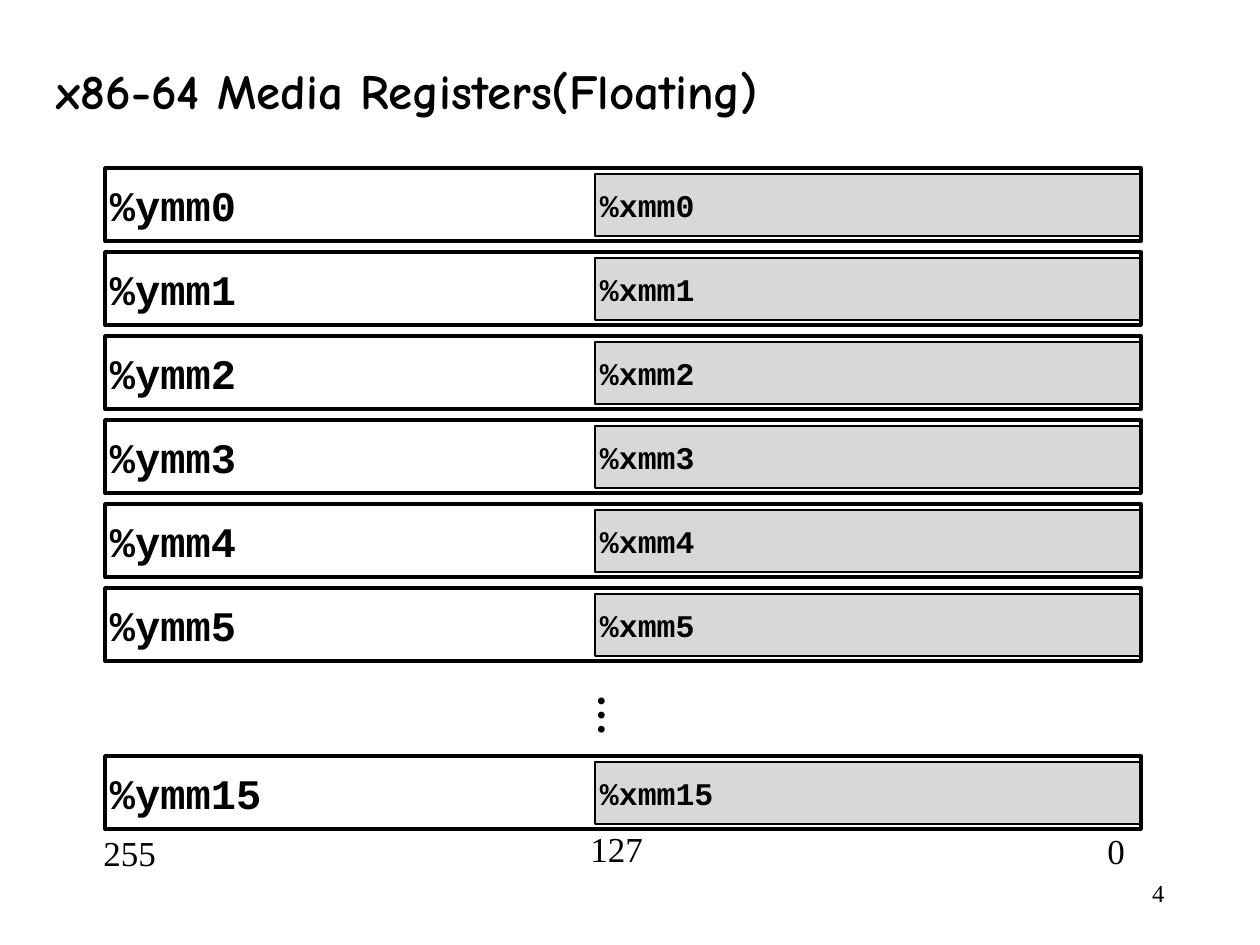
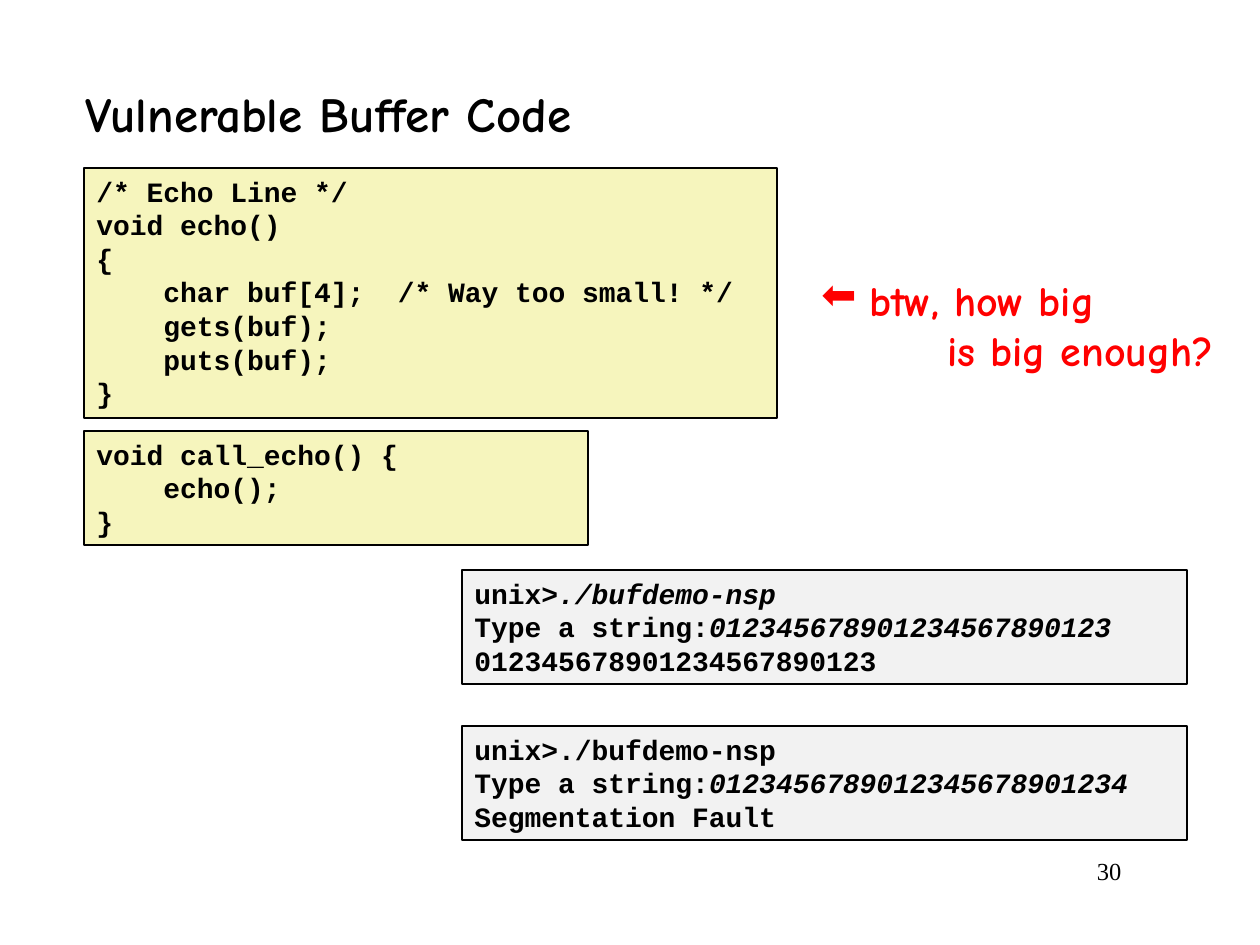
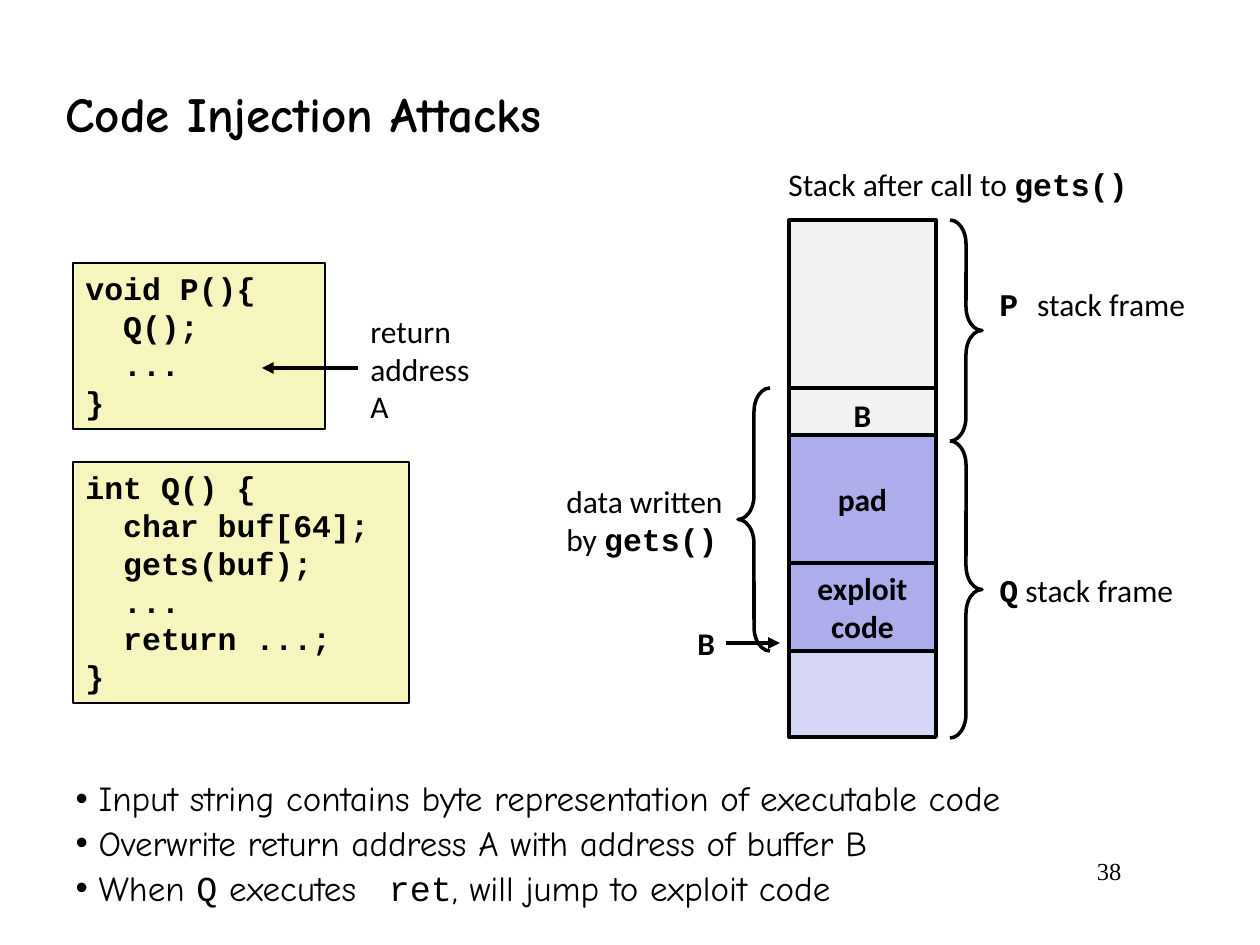
import dataclasses

import pptx
import pptx.dml.color
import pptx.enum.shapes
import pptx.enum.text
import pptx.oxml.ns
import pptx.util
from lxml import etree

SHAPE = pptx.enum.shapes.MSO_SHAPE
ALIGN = pptx.enum.text.PP_ALIGN
ANCHOR = pptx.enum.text.MSO_ANCHOR
qn = pptx.oxml.ns.qn
Pt = pptx.util.Pt

PX_PER_INCH = 126


@dataclasses.dataclass(frozen=True)
class Theme:
    # Fonts
    hand: str = "Comic Neue"
    mono: str = "Courier New"
    sans: str = "Calibri"
    serif: str = "Times New Roman"
    # Colours
    ink: str = "000000"
    alert: str = "FF0000"
    code: str = "F6F5BD"
    shell: str = "F2F2F2"
    register: str = "D8D8D8"
    written: str = "ADADEB"
    buffer: str = "D6D6F5"
    # Type sizes
    title: int = 28
    large: int = 24
    body: int = 20
    label: int = 18
    small_code: int = 16
    page: int = 14


T = Theme()
MONO = dict(font=T.mono, bold=True)
PLAIN = dict(font=T.sans, bold=False)
ITALIC = dict(italic=True)


def px(n):
    return round(n * 914400 / PX_PER_INCH)


def box(x, y, w, h):
    return px(x), px(y), px(w), px(h)


def rgb(code):
    return pptx.dml.color.RGBColor.from_string(code)


# Text

def format_run(r, font=T.sans, size=T.label, color=T.ink, bold=False, italic=False):
    f = r.font
    f.name, f.size, f.bold, f.italic = font, Pt(size), bold, italic
    f.color.rgb = rgb(color)


def write(tf, lines, align=ALIGN.LEFT, anchor=ANCHOR.TOP, wrap=True,
          inset=None, spacing=None, **fmt):
    """Each line is a string or a list of (text, format changes)."""
    tf.auto_size = pptx.enum.text.MSO_AUTO_SIZE.NONE
    tf.word_wrap, tf.vertical_anchor = wrap, anchor
    if inset is not None:
        tf.margin_left = tf.margin_right = tf.margin_top = tf.margin_bottom = px(inset)
    for i, line in enumerate(lines):
        p = tf.add_paragraph() if i else tf.paragraphs[0]
        p.alignment = align
        if spacing:
            p.line_spacing = spacing
        for text, changes in [(line, {})] if isinstance(line, str) else line:
            r = p.add_run()
            r.text = text
            format_run(r, **{**fmt, **changes})


def indent(p, left, bullet=None):
    pPr = p._p.get_or_add_pPr()
    pPr.set("marL", str(px(left)))
    pPr.set("indent", str(-px(left) if bullet else 0))
    if bullet:
        etree.SubElement(pPr, qn("a:buChar")).set("char", bullet)


# Elements

def add_slide(prs, layout, title, title_box, page, page_at):
    s = prs.slides.add_slide(prs.slide_layouts[layout])
    sp = s.shapes.title
    sp.left, sp.top, sp.width, sp.height = box(*title_box)
    write(sp.text_frame, [title], anchor=ANCHOR.MIDDLE,
          font=T.hand, size=T.title, bold=True)
    add_label(s, (*page_at, 179, 63), [page], align=ALIGN.RIGHT, wrap=True,
              font=T.serif, size=T.page)
    return s


def add_label(s, at, lines, wrap=False, **fmt):
    tf = s.shapes.add_textbox(*box(*at)).text_frame
    write(tf, lines, wrap=wrap, **fmt)
    return tf


def add_box(s, at, lines=(), fill=None, line=1, kind=SHAPE.RECTANGLE, **fmt):
    sp = s.shapes.add_shape(kind, *box(*at))
    sp.shadow.inherit = False
    if fill:
        sp.fill.solid()
        sp.fill.fore_color.rgb = rgb(fill)
    else:
        sp.fill.background()
    sp.line.color.rgb = rgb(T.ink)
    sp.line.width = Pt(line)
    if lines:
        write(sp.text_frame, lines, **fmt)
    return sp


def add_code(s, at, lines, fill=T.code, size=T.label):
    add_box(s, at, lines, fill=fill, size=size, **MONO)


def add_brace(s, kind, at):
    add_box(s, at, line=2, kind=kind).adjustments[0] = 0.75


def add_arrow(s, x1, x2, y):
    c = s.shapes.add_connector(pptx.enum.shapes.MSO_CONNECTOR.STRAIGHT,
                               px(x1), px(y), px(x2), px(y))
    c.line.color.rgb = rgb(T.ink)
    c.line.width = Pt(2.25)
    etree.SubElement(c.line._get_or_add_ln(), qn("a:tailEnd")).set("type", "triangle")
    etree.SubElement(c._element.spPr, qn("a:effectLst"))


# Slides

def registers_slide(prs):
    s = add_slide(prs, 5, "x86-64 Media Registers(Floating)", (44, 37, 1046, 105),
                  "4", (998, 872))
    # One row per register; row 6 stands for those left out
    for row, number in [*((n, n) for n in range(6)), (7, 15)]:
        y = 168 + 84 * row
        style = dict(anchor=ANCHOR.MIDDLE, inset=5, **MONO)
        add_box(s, (595, y + 6, 545, 62), [f"%xmm{number}"], fill=T.register,
                line=0.75, size=T.label, **style)
        add_box(s, (105, y, 1036, 73), [f"%ymm{number}"], line=2, size=T.large, **style)
    tf = add_label(s, (570, 682, 77, 55), ["…"], font=T.serif, size=T.large, bold=True)
    tf._txBody.bodyPr.set("vert", "eaVert")
    # Bit positions
    for bit, x, y, w in [("255", 91, 825, 78), ("127", 578, 821, 78), ("0", 1095, 823, 43)]:
        add_label(s, (x, y, w, 55), [bit], font=T.serif, size=T.body)


def buffer_slide(prs):
    s = add_slide(prs, 5, "Vulnerable Buffer Code", (73, 73, 883, 79), "30", (955, 850))
    # Source code
    add_code(s, (84, 431, 504, 114), ["void call_echo() {", "    echo();", "}"],
             size=T.small_code)
    add_code(s, (84, 168, 693, 250),
             ["/* Echo Line */", "void echo()", "{",
              "    char buf[4];  /* Way too small! */",
              "    gets(buf);", "    puts(buf);", "}"], size=T.small_code)
    # Two runs in the shell
    prompt, ask = "unix>", "Type a string:"
    short, long = "012345678901234567890123", "0123456789012345678901234"
    sessions = [
        (570, [[(prompt, {}), ("./bufdemo-nsp", ITALIC)],
               [(ask, {}), (short, ITALIC)], short]),
        (726, [prompt + "./bufdemo-nsp",
               [(ask, {}), (long, ITALIC)], "Segmentation Fault"]),
    ]
    for y, lines in sessions:
        add_code(s, (462, y, 725, 114), lines, fill=T.shell, size=T.small_code)
    # Question
    tf = add_label(s, (809, 268, 443, 115), ["btw, how big", "is big enough?"], wrap=True,
                   font=T.hand, size=T.large, color=T.alert, bold=True)
    indent(tf.paragraphs[0], 48, "⬅")
    indent(tf.paragraphs[1], 126)


def injection_slide(prs):
    s = add_slide(prs, 1, "Code Injection Attacks", (53, 73, 1144, 79), "38", (955, 850))
    # Takeaways
    body = s.placeholders[1]
    body.left, body.top, body.width, body.height = box(63, 766, 1138, 158)
    mono = dict(font=T.mono)
    write(body.text_frame,
          ["Input string contains byte representation of executable code",
           "Overwrite return address A with address of buffer B",
           [("When ", {}), ("Q", mono), (" executes ", {}), (" ret", mono),
            (", will jump to exploit code", {})]],
          anchor=ANCHOR.MIDDLE, spacing=0.9, font=T.hand, size=T.body)
    for p in body.text_frame.paragraphs:
        indent(p, 23, "•")

    # Source code
    add_code(s, (73, 462, 336, 241),
             ["int Q() {", "  char buf[64];", "  gets(buf);", "  ...", "  return ...;", "}"])
    add_code(s, (73, 263, 252, 166), ["void P(){", "  Q();", "  ...", "}"])

    # Stack, from high to low addresses
    stack = [
        (220, 168, T.shell, []),
        (388, 53, T.shell, ["B"]),
        (651, 86, T.buffer, []),
        (563, 88, T.written, ["exploit", "code"]),
        (435, 128, T.written, ["pad"]),
    ]
    for y, h, fill, name in stack:
        add_box(s, (789, y, 147, h), name, fill=fill, line=2.25,
                align=ALIGN.CENTER, anchor=ANCHOR.MIDDLE, bold=True)

    # Braces and arrows
    add_brace(s, SHAPE.RIGHT_BRACE, (950, 220, 32, 221))
    add_brace(s, SHAPE.RIGHT_BRACE, (950, 441, 32, 297))
    add_brace(s, SHAPE.LEFT_BRACE, (738, 388, 32, 263))
    add_arrow(s, 358, 262, 368)
    add_arrow(s, 726, 780, 643)

    # Labels
    gets = ("gets()", MONO)
    add_label(s, (776, 159, 369, 50), [[("Stack after call to ", {}), gets]])
    middle = dict(anchor=ANCHOR.MIDDLE)
    add_label(s, (358, 305, 126, 127), ["return", "address", "A"], **middle)
    add_label(s, (987, 279, 214, 50), [[("P ", MONO), ("stack frame", PLAIN)]], **middle)
    add_label(s, (987, 565, 203, 50), [[("Q", MONO), (" stack frame", PLAIN)]], **middle)
    add_label(s, (685, 618, 43, 50), ["B"], bold=True, **middle)
    add_label(s, (554, 475, 189, 90), ["data written", [("by ", {}), gets]],
              wrap=True, **middle)


def main():
    prs = pptx.Presentation()
    prs.slide_width, prs.slide_height = px(1260), px(945)
    registers_slide(prs)
    buffer_slide(prs)
    injection_slide(prs)
    prs.save("out.pptx")


if __name__ == "__main__":
    main()
